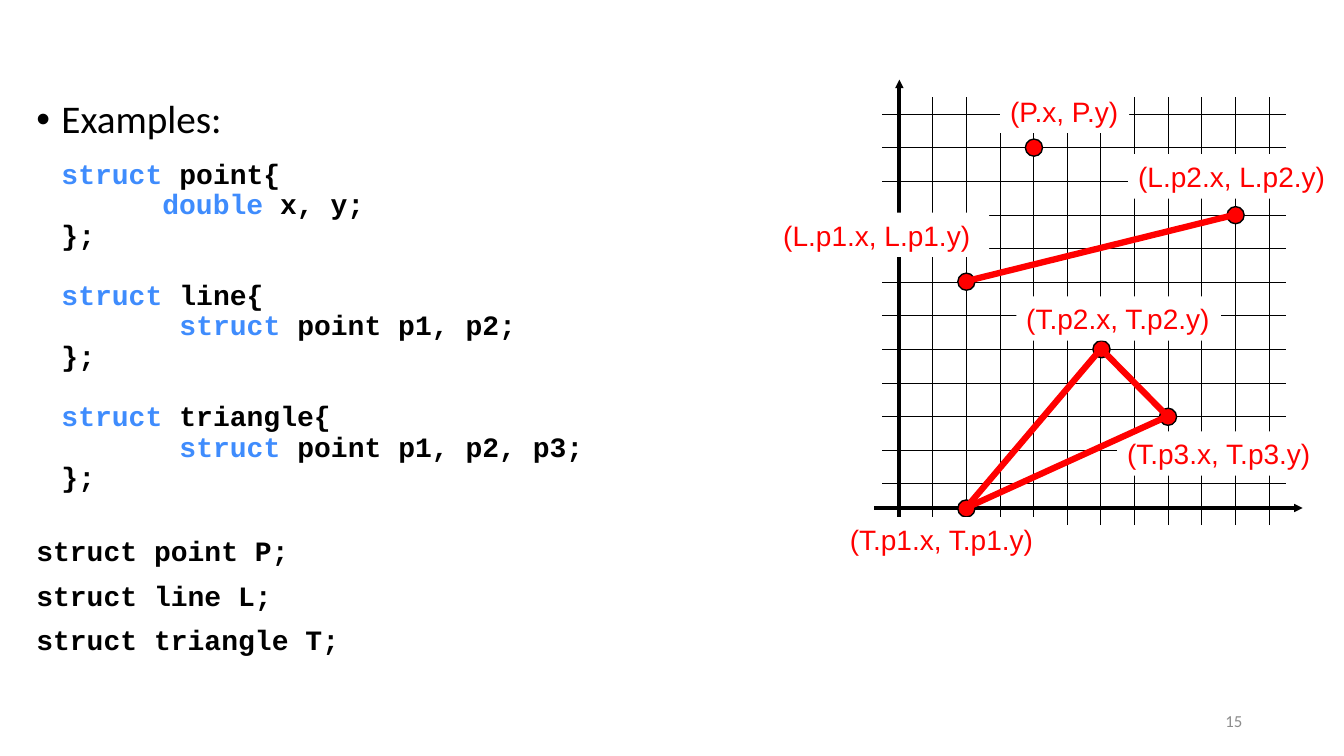
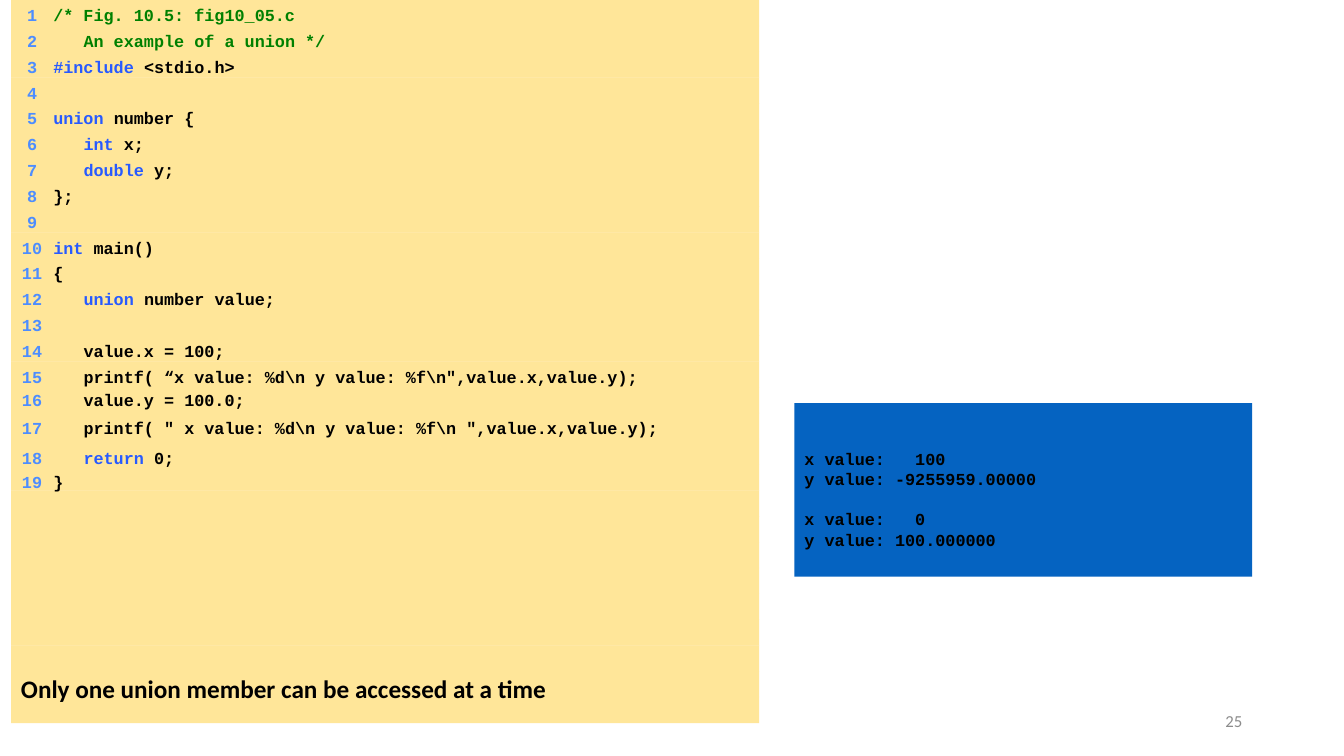
import pptx
import pptx.util
import pptx.dml.color
import pptx.enum.shapes
import pptx.enum.text
import pptx.oxml.ns
import lxml.etree

Inches, Pt, qn = pptx.util.Inches, pptx.util.Pt, pptx.oxml.ns.qn
Shape = pptx.enum.shapes.MSO_SHAPE
Align, Anchor = pptx.enum.text.PP_ALIGN, pptx.enum.text.MSO_ANCHOR

# Shared look
HUES = {"ink": "000000", "paper": "FFFFFF", "gray": "8C8C8C", "red": "FF0000",
        "word": "3F8CFD", "key": "275AFF", "num": "4D8DFF", "note": "008000",
        "sand": "FFE699", "blue": "0563C1"}
MONO, SANS, PLAIN = "Courier New", "Calibri", "Arial"

# Structs: indent, space before, runs of (text, hue)
OPEN, DEEP, FAR = 0.25, 1.25, 1.42
STRUCTS = [
    (OPEN, 13, [("struct ", "word"), ("point{", "ink")]),
    (DEEP, 0, [("double", "word"), (" x, y;", "ink")]),
    (OPEN, 0, [("};", "ink")]),
    (OPEN, 21.7, [("struct ", "word"), ("line{", "ink")]),
    (FAR, 0, [("struct", "word"), (" point p1, p2;", "ink")]),
    (OPEN, 0, [("};", "ink")]),
    (OPEN, 21.7, [("struct ", "word"), ("triangle{", "ink")]),
    (FAR, 0, [("struct ", "word"), ("point p1, p2, p3;", "ink")]),
    (OPEN, 0, [("};", "ink")]),
    (0, 31.7, [("struct point P;", "ink")]),
    (0, 10, [("struct line L;", "ink")]),
    (0, 10, [("struct triangle T;", "ink")]),
]

# Graph: centre of each dot, then its label's box and wording
DOTS = {"P": (10.25, 1.46), "L1": (9.58, 2.79), "L2": (12.25, 2.13),
        "T1": (9.58, 5.04), "T2": (10.92, 3.46), "T3": (11.58, 4.13)}
LABELS = [
    (9.92, 0.88, 1.28, "(P.x, P.y)"),
    (7.67, 2.11, 2.14, "(L.p1.x, L.p1.y)"),
    (11.19, 1.53, 2.14, "(L.p2.x, L.p2.y)"),
    (8.33, 5.13, 2.03, "(T.p1.x, T.p1.y)"),
    (10.08, 2.94, 2.03, "(T.p2.x, T.p2.y)"),
    (11.08, 4.28, 2.03, "(T.p3.x, T.p3.y)"),
]
EDGES = [("L1", "L2"), ("T1", "T2"), ("T2", "T3"), ("T1", "T3")]
STEP = 1 / 3

# Listing: depth and runs, one entry a line
CODE = [
    (0, [("/* Fig. 10.5: fig10_05.c", "note")]),
    (1, [("An example of a union */", "note")]),
    (0, [("#include", "key"), (" <stdio.h>", "ink")]),
    (0, []),
    (0, [("union", "key"), (" number {", "ink")]),
    (1, [("int", "key"), (" x;", "ink")]),
    (1, [("double", "key"), (" y;", "ink")]),
    (0, [("};", "ink")]),
    (0, []),
    (0, [("int", "key"), (" main()", "ink")]),
    (0, [("{", "ink")]),
    (1, [("union", "key"), (" number value;", "ink")]),
    (0, []),
    (1, [("value.x = 100;", "ink")]),
    (1, [("printf( “x value: %d\\n y value: %f\\n\",value.x,value.y);", "ink")]),
    (1, [("value.y = 100.0;", "ink")]),
    (1, [("printf( \" x value: %d\\n y value: %f\\n \",value.x,value.y);", "ink")]),
    (1, [("return", "key"), (" 0;", "ink")]),
    (0, [("}", "ink")]),
]
SHIFTED = {16: 3.82, 18: 4.39, 19: 4.63}   # line number: top off the grid
BANDS, HIGH = 28, 7.17
OUTPUT = [("x value:   100", 0), ("y value: -9255959.00000", 0),
          ("x value:   0", 14.5), ("y value: 100.000000", 0)]
CLAIM = "Only one union member can be accessed at a time"


def tint(hue):
    return pptx.dml.color.RGBColor.from_string(HUES[hue])


def write(para, text, hue, size, font, bold=False):
    run = para.add_run()
    run.text = text
    run.font.size, run.font.name, run.font.bold = Pt(size), font, bold
    run.font.color.rgb = tint(hue)


def block(slide, kind, left, top, wide, high, fill=None, edge=None):
    item = slide.shapes.add_shape(kind, *map(Inches, (left, top, wide, high)))
    item.shadow.inherit = False
    if fill:
        item.fill.solid()
        item.fill.fore_color.rgb = tint(fill)
    else:
        item.fill.background()
    if edge:
        item.line.color.rgb = tint(edge)
        item.line.width = Pt(1)
    else:
        item.line.fill.background()
    item.text_frame.vertical_anchor = Anchor.TOP
    item.text_frame.paragraphs[0].alignment = Align.LEFT
    return item


def label(slide, left, top, wide, high):
    box = slide.shapes.add_textbox(*map(Inches, (left, top, wide, high)))
    box.text_frame.word_wrap = True
    return box.text_frame


def line(slide, start, end, hue, width, arrow=False):
    item = slide.shapes.add_connector(pptx.enum.shapes.MSO_CONNECTOR.STRAIGHT,
                                      *map(Inches, (*start, *end)))
    item.line.color.rgb = tint(hue)
    item.line.width = Pt(width)
    if arrow:
        lxml.etree.SubElement(item.line._get_or_add_ln(), qn("a:tailEnd"),
                              type="triangle", w="sm", len="sm")
    lxml.etree.SubElement(item._element.spPr, qn("a:effectLst"))


def number(slide, text):
    frame = label(slide, 9.42, 6.95, 3, 0.4)
    frame.vertical_anchor = Anchor.MIDDLE
    frame.paragraphs[0].alignment = Align.RIGHT
    write(frame.paragraphs[0], text, "gray", 12, SANS)


def indent(para, left, first, before):
    para.line_spacing = 0.9
    para.space_before = Pt(before)
    props = para._p.get_or_add_pPr()
    props.set("marL", str(Inches(left)))
    props.set("indent", str(Inches(first)))
    return props


def band(slide, top, count=None, fill="sand"):
    item = block(slide, Shape.RECTANGLE, 0.11, top, 7.42, 0.26, fill)
    if count is None:
        return
    depth, runs = CODE[count - 1]
    para = item.text_frame.paragraphs[0]
    tabs = lxml.etree.SubElement(para._p.get_or_add_pPr(), qn("a:tabLst"))
    for spot, side in ((0.11, "ctr"), (0.32 + 0.3 * depth, "l")):
        lxml.etree.SubElement(tabs, qn("a:tab"), pos=str(Inches(spot)), algn=side)
    write(para, f"\t{count}\t", "num", 12, MONO, True)
    for text, hue in runs:
        write(para, text, hue, 12, MONO, True)


deck = pptx.Presentation()
deck.slide_width, deck.slide_height = Inches(13.33), Inches(7.5)

# Slide with struct examples
page = deck.slides.add_slide(deck.slide_layouts[1])
title = page.shapes.title.element
title.getparent().remove(title)
body = page.placeholders[1]
body.left, body.top, body.width, body.height = map(Inches, (0.26, 0.94, 8.42, 5.75))
frame = body.text_frame
frame.auto_size = pptx.enum.text.MSO_AUTO_SIZE.NONE
frame.vertical_anchor = Anchor.TOP
indent(frame.paragraphs[0], 0.25, -0.25, 0)
write(frame.paragraphs[0], "Examples:", "ink", 28, SANS)
for left, before, runs in STRUCTS:
    para = frame.add_paragraph()
    lxml.etree.SubElement(indent(para, left, 0, before), qn("a:buNone"))
    for text, hue in runs:
        write(para, text, hue, 20, MONO, True)
number(page, "15")

# Axes and grid
line(page, (8.67, 5.04), (12.92, 5.04), "ink", 3, True)
for i in range(12):
    y = 1.13 + i * STEP
    line(page, (8.75, y), (12.75, y), "ink", 0.25)
for i in range(11):
    x = 9.25 + i * STEP
    line(page, (x, 5.21), (x, 0.96), "ink", 0.25)
line(page, (8.92, 5.29), (8.92, 0.79), "ink", 3, True)

# Dots, labels and edges
for x, y in DOTS.values():
    block(page, Shape.OVAL, x - 0.08, y - 0.08, 0.17, 0.17, "red", "ink")
for left, top, wide, text in LABELS:
    frame = block(page, Shape.RECTANGLE, left, top, wide, 0.44, "paper").text_frame
    frame.vertical_anchor = Anchor.MIDDLE
    frame.margin_right = 0
    write(frame.paragraphs[0], text, "red", 20, PLAIN)
for start, end in EDGES:
    line(page, DOTS[start], DOTS[end], "red", 4.5)

# Slide with union listing; shifted lines lie unfilled over the bands
page = deck.slides.add_slide(deck.slide_layouts[6])
number(page, "25")
for i in range(BANDS):
    count = i + 1
    shown = count <= len(CODE) and count not in SHIFTED
    band(page, i * HIGH / BANDS, count if shown else None)
for count, top in SHIFTED.items():
    band(page, top, count, None)

# Program output
frame = block(page, Shape.RECTANGLE, 7.88, 4, 4.54, 1.72, "blue").text_frame
frame.margin_top = Inches(0.45)
for i, (text, before) in enumerate(OUTPUT):
    para = frame.add_paragraph() if i else frame.paragraphs[0]
    para.alignment = Align.LEFT
    para.space_before = Pt(before)
    write(para, text, "ink", 12, MONO, True)
write(label(page, 0.11, 6.63, 5.45, 0.4).paragraphs[0], CLAIM, "ink", 18, SANS, True)

deck.save("out.pptx")
